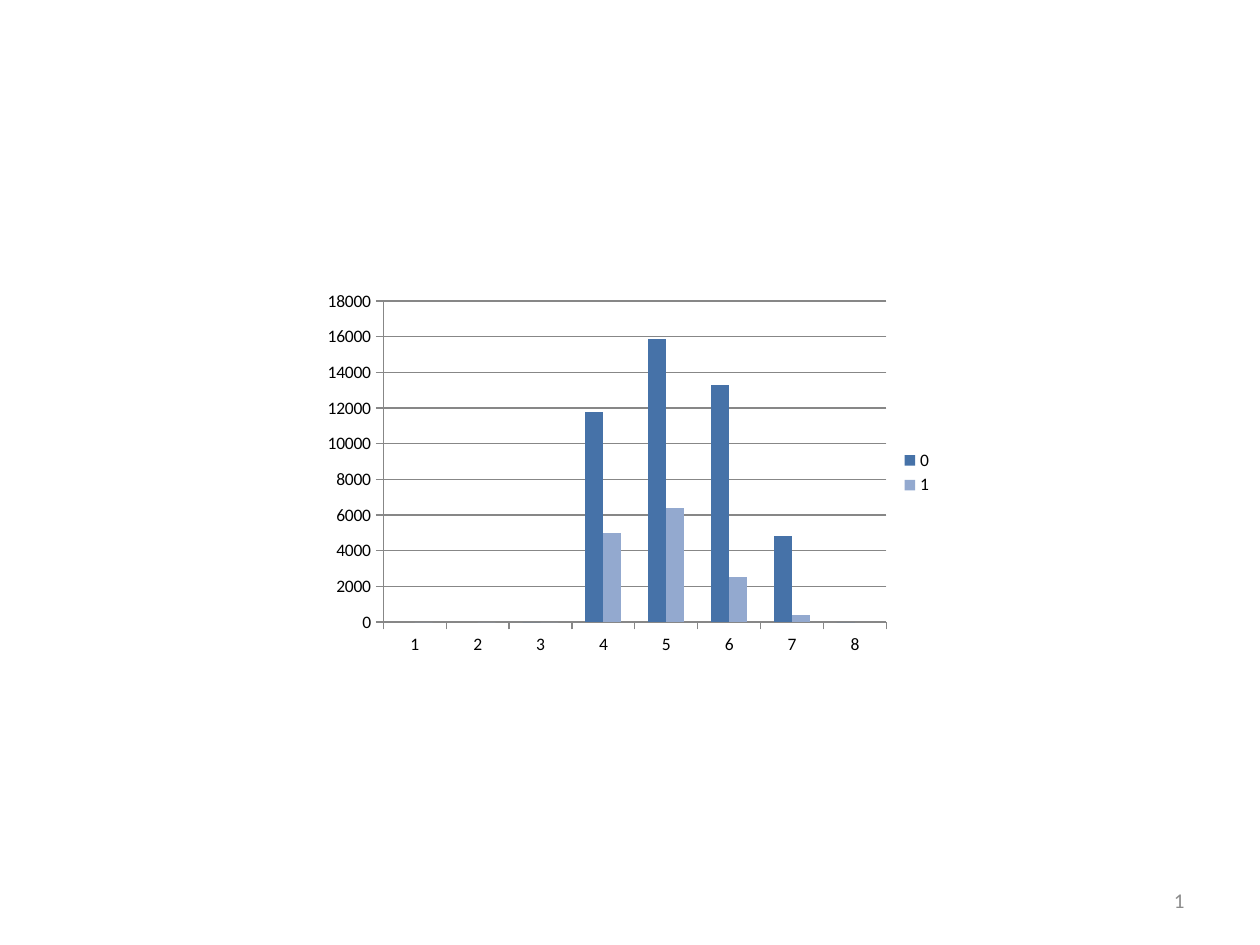
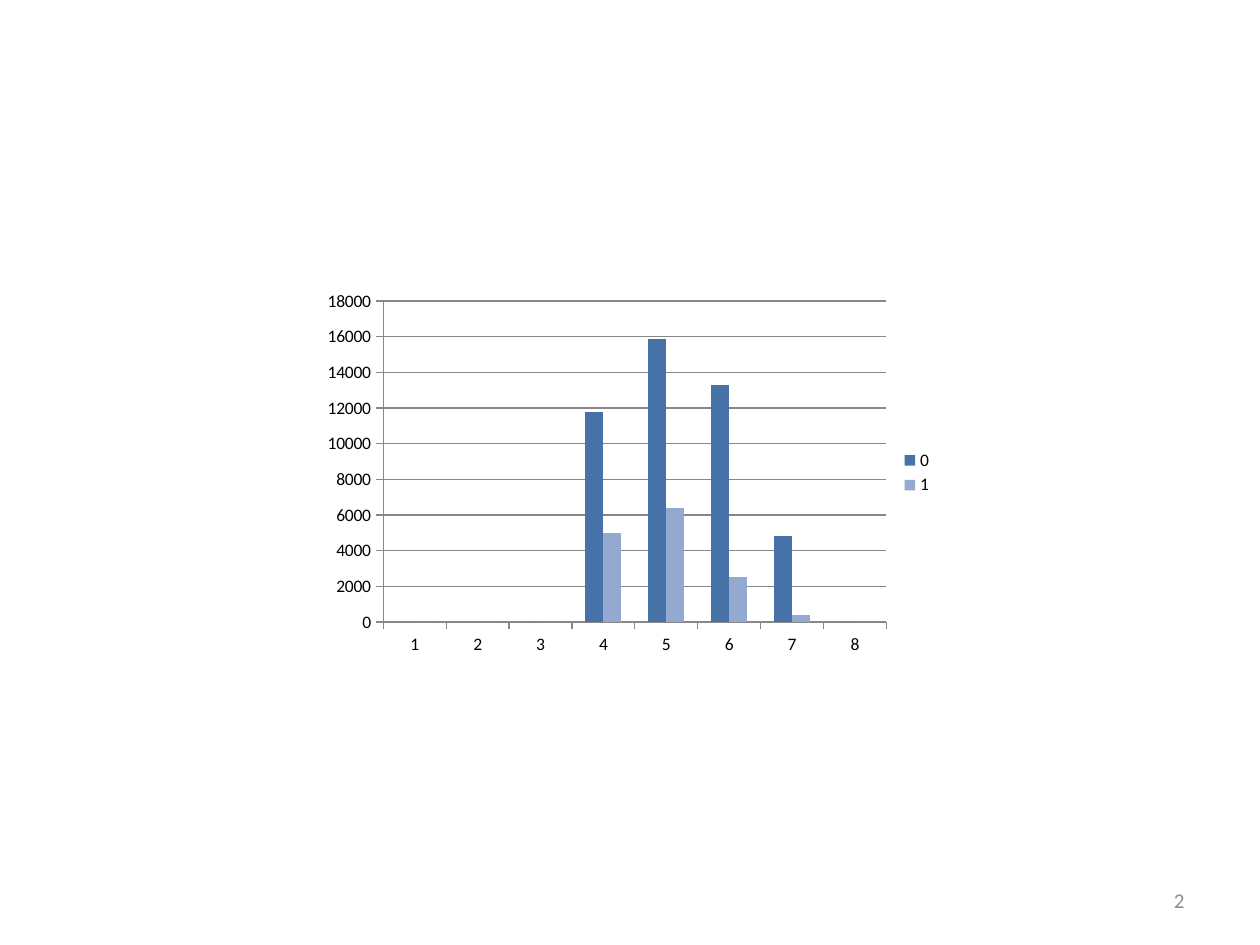
from pptx import Presentation
from pptx.chart.data import CategoryChartData as Data
from pptx.dml.color import RGBColor
from pptx.enum.chart import XL_CHART_TYPE as Kind, XL_LEGEND_POSITION as Side, XL_TICK_MARK as Tick
from pptx.enum.text import MSO_ANCHOR as Anchor, PP_ALIGN as Align
from pptx.util import Cm, Pt

FONT = "Calibri"
INK = "000000"
GREY = "8C8C8C"
RULE = "878787"
CATS = [str(n) for n in range(1, 9)]
SERIES = [
    ("0", "4672A8", [None, None, 0, 11800, 15900, 13300, 4800, 0]),
    ("1", "93A9CF", [0, 0, 0, 5000, 6400, 2500, 400, None]),
]


def color(code):
    return RGBColor.from_string(code)


def style(font, size, code):
    font.name = FONT
    font.size = Pt(size)
    font.color.rgb = color(code)


def rule(line):
    line.color.rgb = color(RULE)
    line.width = Pt(0.75)


def add_number(slide, num):
    box = slide.shapes.add_textbox(Cm(18.2), Cm(17.65), Cm(5.93), Cm(1.01))
    frame = box.text_frame
    frame.word_wrap = True
    frame.vertical_anchor = Anchor.MIDDLE
    para = frame.paragraphs[0]
    para.alignment = Align.RIGHT
    run = para.add_run()
    run.text = str(num)
    style(run.font, 12, GREY)


def add_columns(slide):
    data = Data(number_format="General")
    data.categories = CATS
    for name, _, vals in SERIES:
        data.add_series(name, vals)
    frame = slide.shapes.add_chart(
        Kind.COLUMN_CLUSTERED, Cm(6.35), Cm(5.72), Cm(12.7), Cm(7.62), data)
    chart = frame.chart
    style(chart.font, 10, INK)
    chart.has_title = False
    chart.has_legend = True
    chart.legend.position = Side.RIGHT
    chart.legend.include_in_layout = False
    plot = chart.plots[0]
    plot.gap_width = 150
    plot.overlap = 0
    plot.vary_by_categories = False
    for bars, (_, code, _) in zip(plot.series, SERIES):
        bars.invert_if_negative = False
        bars.format.fill.solid()
        bars.format.fill.fore_color.rgb = color(code)
    for axis in (chart.category_axis, chart.value_axis):
        axis.major_tick_mark = Tick.OUTSIDE
        axis.minor_tick_mark = Tick.NONE
        rule(axis.format.line)
    scale = chart.value_axis
    scale.minimum_scale = 0
    scale.maximum_scale = 18000
    scale.major_unit = 2000
    scale.has_major_gridlines = True
    rule(scale.major_gridlines.format.line)


def main():
    deck = Presentation()
    deck.slide_width = Cm(25.4)
    deck.slide_height = Cm(19.05)
    for num in (1, 2):
        slide = deck.slides.add_slide(deck.slide_layouts[6])
        add_number(slide, num)
        add_columns(slide)
    deck.save("out.pptx")


main()
